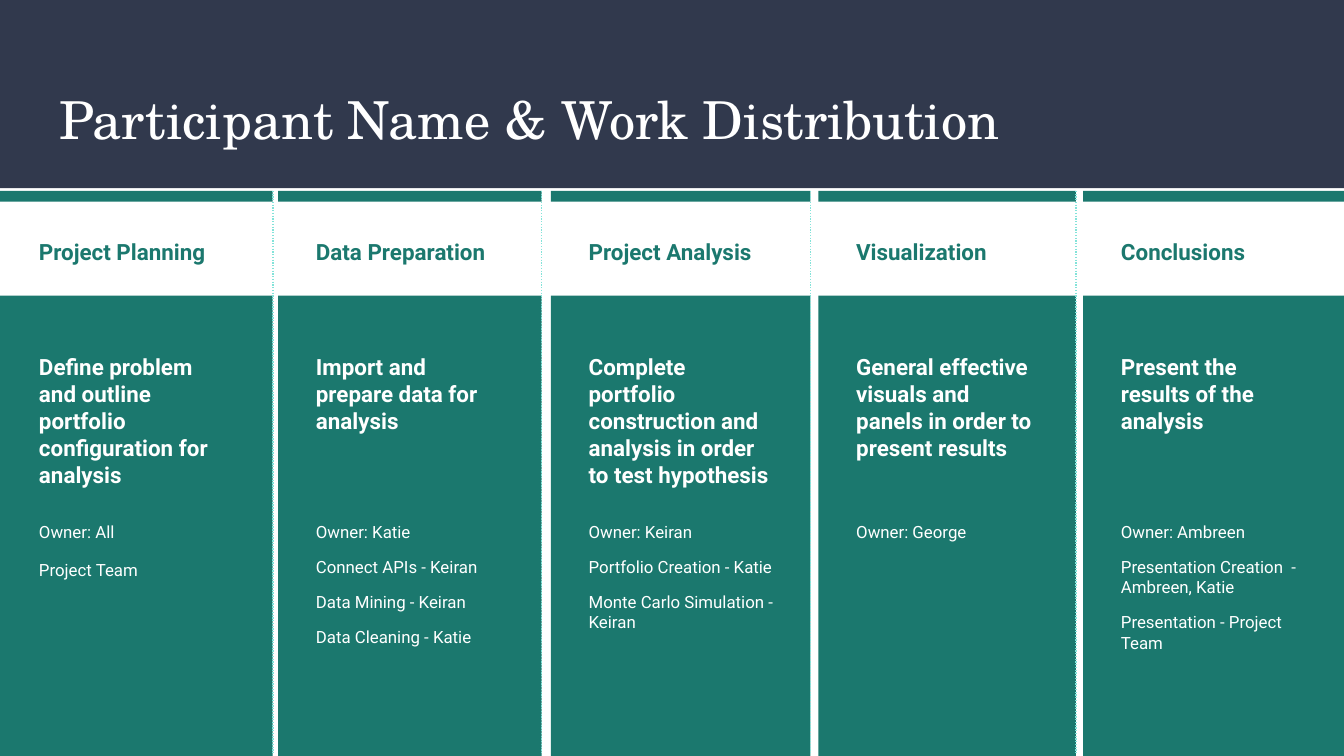
from lxml import etree
from pptx import Presentation
from pptx.dml.color import RGBColor
from pptx.enum.dml import MSO_LINE
from pptx.enum.shapes import MSO_CONNECTOR, MSO_SHAPE
from pptx.enum.text import MSO_ANCHOR, MSO_AUTO_SIZE, PP_ALIGN
from pptx.oxml.ns import qn
from pptx.util import Pt

RECTANGLE = MSO_SHAPE.RECTANGLE
STRAIGHT = MSO_CONNECTOR.STRAIGHT
DOTTED = MSO_LINE.ROUND_DOT
TOP = MSO_ANCHOR.TOP
LEFT = PP_ALIGN.LEFT
NO_AUTOSIZE = MSO_AUTO_SIZE.NONE

NAVY = RGBColor(0x31, 0x39, 0x4D)
GREEN = RGBColor(0x1B, 0x78, 0x6E)
MINT = RGBColor(0x83, 0xE3, 0xD9)
WHITE = RGBColor(0xFF, 0xFF, 0xFF)

SLIDE_WIDTH, SLIDE_HEIGHT = 720, 405
STRIPE_TOP, STRIPE_HEIGHT = 102.24, 5.76
PANEL_TOP = 158.4
TEXT_INDENT = 13.1


def add_rectangle(shapes, left, top, width, height, color):
    shape = shapes.add_shape(RECTANGLE, Pt(left), Pt(top), Pt(width), Pt(height))
    shape.shadow.inherit = False
    shape.fill.solid()
    shape.fill.fore_color.rgb = color
    shape.line.fill.background()
    return shape


def write_text(shape, paragraphs, size, color, font="Roboto", bold=False,
               line_spacing=1.0, space_before=0, space_after=0):
    frame = shape.text_frame
    frame.word_wrap = True
    frame.auto_size = NO_AUTOSIZE
    frame.vertical_anchor = TOP
    frame.margin_left = frame.margin_right = Pt(7.2)
    frame.margin_top = frame.margin_bottom = Pt(7.2)
    for index, text in enumerate(paragraphs):
        paragraph = frame.add_paragraph() if index else frame.paragraphs[0]
        paragraph.alignment = LEFT
        paragraph.line_spacing = line_spacing
        paragraph.space_before = Pt(space_before if index else 0)
        paragraph.space_after = Pt(space_after if index == len(paragraphs) - 1 else 0)
        run = paragraph.add_run()
        run.text = text
        run.font.name = font
        run.font.size = Pt(size)
        run.font.bold = bold
        run.font.color.rgb = color


presentation = Presentation()
presentation.slide_width = Pt(SLIDE_WIDTH)
presentation.slide_height = Pt(SLIDE_HEIGHT)
slide = presentation.slides.add_slide(presentation.slide_layouts[5])

title = slide.shapes.title
title.left, title.top, title.width, title.height = Pt(24.5), Pt(39.6), Pt(671), Pt(49)
write_text(title, ["Participant Name & Work Distribution"], size=28, color=WHITE,
           font="TeX Gyre Schola")
title_band = add_rectangle(slide.shapes, 0, 0, SLIDE_WIDTH, 100.8, NAVY)
title.element.addprevious(title_band.element)

# left, width, heading width, body width, heading, goal, assignments
columns = [
    (0, 146.16, 132.5, 118, "Project Planning",
     "Define problem and outline portfolio configuration for analysis",
     ["Owner: All", "Project Team"]),
    (149.04, 141.12, 123, 114.5, "Data Preparation",
     "Import and prepare data for analysis",
     ["Owner: Katie", "Connect APIs - Keiran", "Data Mining - Keiran",
      "Data Cleaning - Katie"]),
    (295.2, 138.96, 116.6, 113, "Project Analysis",
     "Complete portfolio construction and analysis in order to test hypothesis",
     ["Owner: Keiran", "Portfolio Creation - Katie",
      "Monte Carlo Simulation - Keiran"]),
    (438.48, 138, 100, 112.5, "Visualization",
     "General effective visuals and panels in order to present results",
     ["Owner: George"]),
    (580.32, 139.68, 101.5, 113, "Conclusions",
     "Present the results of the analysis",
     ["Owner: Ambreen", "Presentation Creation  - Ambreen, Katie",
      "Presentation - Project Team"]),
]

for left, width, heading_width, body_width, heading, goal, assignments in columns:
    shapes = slide.shapes.add_group_shape().shapes
    add_rectangle(shapes, left, PANEL_TOP, width, SLIDE_HEIGHT - PANEL_TOP, GREEN)
    add_rectangle(shapes, left, STRIPE_TOP, width, STRIPE_HEIGHT, GREEN)

    text_left = Pt(left + TEXT_INDENT + (0.7 if left == 0 else 0))
    heading_box = shapes.add_textbox(text_left, Pt(118), Pt(heading_width), Pt(27.4))
    write_text(heading_box, [heading], size=12, color=GREEN, bold=True,
               line_spacing=1.15, space_after=16)
    goal_box = shapes.add_textbox(text_left, Pt(182.2), Pt(body_width), Pt(85))
    write_text(goal_box, [goal], size=12, color=WHITE, bold=True)
    assignment_box = shapes.add_textbox(text_left, Pt(272.2), Pt(body_width), Pt(105.8))
    write_text(assignment_box, assignments, size=9, color=WHITE,
               space_before=8, space_after=8)
    if heading == "Project Planning":
        team_paragraph = assignment_box.text_frame.paragraphs[-1]
        team_paragraph.line_spacing = 1.15
        team_paragraph.space_after = Pt(16)

    right = left + width
    if right < SLIDE_WIDTH:
        divider = shapes.add_connector(STRAIGHT, Pt(right), Pt(STRIPE_TOP),
                                       Pt(right), Pt(404))
        divider.line.color.rgb = MINT
        divider.line.width = Pt(0.75)
        divider.line.dash_style = DOTTED
        etree.SubElement(divider.element.spPr, qn("a:effectLst"))

presentation.save("out.pptx")
